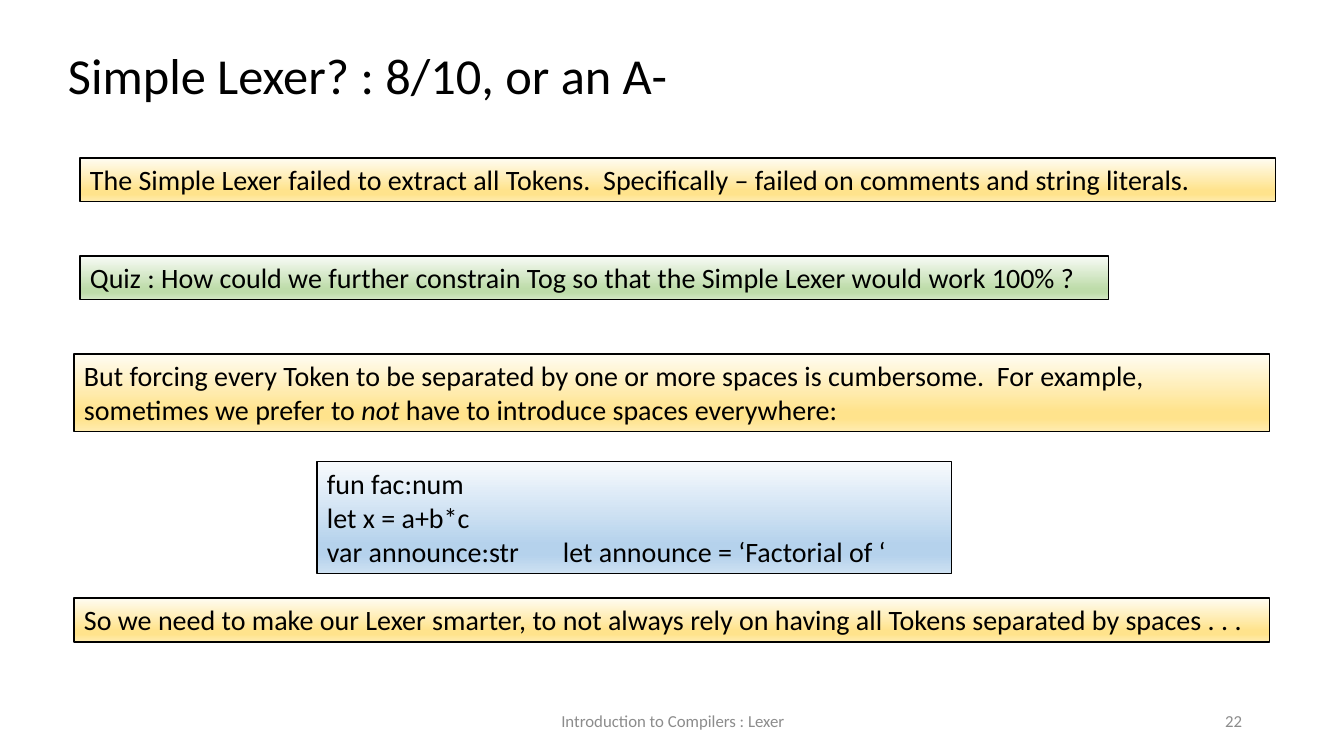
from dataclasses import dataclass

from lxml import etree
from pptx import Presentation
from pptx import util as u
from pptx.dml.color import RGBColor
from pptx.enum import shapes, text
from pptx.oxml.ns import qn


@dataclass(frozen=True)
class Theme:
    font: str = "Calibri"
    ink: str = "000000"
    muted: str = "8C8C8C"
    title_size: int = 36
    body_size: int = 20
    footer_size: int = 12
    line_width: float = 0.75
    stops: tuple = (0, 74, 83, 100)
    gold: tuple = ("FFFCF2", "FFE38C", "FFE38C", "FFECB2")
    green: tuple = ("F8FBF6", "BEDCAA", "BEDCAA", "D4E8C6")
    blue: tuple = ("F7FAFD", "B5D2EC", "B5D2EC", "CEE1F2")


THEME = Theme()
EMU_PER_PX = 914400 / 100.8


def px(value):
    """Turn pixels into EMU."""
    return u.Emu(round(value * EMU_PER_PX))


def add_span(para, words, size, color, italic=False):
    """Append one formatted run to a paragraph."""
    span = para.add_run()
    span.text = words
    span.font.name = THEME.font
    span.font.size = u.Pt(size)
    span.font.color.rgb = RGBColor.from_string(color)
    span.font.italic = italic


class SlideBuilder:
    """Draw themed elements on one slide."""

    def __init__(self, slide, theme):
        self.slide = slide
        self.theme = theme

    def set_lines(self, box, lines, size, color, align=text.PP_ALIGN.LEFT,
                  anchor=text.MSO_ANCHOR.TOP, grow=True, tab=None):
        """Fill a box with lines, each a list of (words, italic) spans."""
        frame = box.text_frame
        frame.word_wrap = True
        frame.vertical_anchor = anchor
        if grow:
            frame.auto_size = text.MSO_AUTO_SIZE.SHAPE_TO_FIT_TEXT
        for index, line in enumerate(lines):
            para = frame.add_paragraph() if index else frame.paragraphs[0]
            para.alignment = align
            if tab:
                tabs = etree.SubElement(para._p.get_or_add_pPr(), qn("a:tabLst"))
                etree.SubElement(tabs, qn("a:tab"), pos=str(px(tab)), algn="l")
            for words, italic in line:
                add_span(para, words, size, color, italic)

    def label(self, area, words, size, color, **layout):
        """Add a plain line of text."""
        box = self.slide.shapes.add_textbox(*map(px, area))
        self.set_lines(box, [[(words, False)]], size, color, **layout)

    def panel(self, area, colors, lines, tab=None):
        """Add an outlined gradient rectangle with text."""
        box = self.slide.shapes.add_shape(
            shapes.MSO_SHAPE.RECTANGLE, *map(px, area))
        box.shadow.inherit = False
        box.line.color.rgb = RGBColor.from_string(self.theme.ink)
        box.line.width = u.Pt(self.theme.line_width)
        self.shade(box, colors)
        self.set_lines(box, lines, self.theme.body_size, self.theme.ink, tab=tab)

    def shade(self, box, colors):
        """Give a box a top-to-bottom gradient."""
        box.fill.gradient()
        box.fill.gradient_angle = 270
        stop_list = box._element.spPr.find(qn("a:gradFill")).find(qn("a:gsLst"))
        for stop in list(stop_list):
            stop_list.remove(stop)
        for place, color in zip(self.theme.stops, colors):
            stop = etree.SubElement(stop_list, qn("a:gs"), pos=str(place * 1000))
            etree.SubElement(stop, qn("a:srgbClr"), val=color)


def main():
    """Build and save the slide."""
    deck = Presentation()
    deck.slide_width, deck.slide_height = px(1344), px(756)
    page = SlideBuilder(deck.slides.add_slide(deck.slide_layouts[6]), THEME)

    page.label((58, 39, 1153, 72), "Simple Lexer? : 8/10, or an A-",
               THEME.title_size, THEME.ink)
    page.panel((80, 158, 1196, 44), THEME.gold, [[
        ("The Simple Lexer failed to extract all Tokens.  Specifically – "
         "failed on comments and string literals.", False)]])
    page.panel((80, 256, 1029, 44), THEME.green, [[
        ("Quiz : How could we further constrain Tog so that the Simple Lexer "
         "would work 100% ?", False)]])
    page.panel((74, 354, 1196, 78), THEME.gold, [[
        ("But forcing every Token to be separated by one or more spaces is "
         "cumbersome.  For example, sometimes we prefer to ", False),
        ("not ", True),
        ("have to introduce spaces everywhere:", False)]])
    page.panel((317, 462, 635, 112), THEME.blue, [
        [("fun fac:num", False)],
        [("let x = a+b*c", False)],
        [("var announce:str\tlet announce = ‘Factorial of ‘", False)]], tab=236)
    page.panel((74, 598, 1196, 44), THEME.gold, [[
        ("So we need to make our Lexer smarter, to not always rely on having "
         "all Tokens separated by spaces . . .", False)]])

    footers = (
        ((446, 701, 454, 40), "Introduction to Compilers : Lexer", text.PP_ALIGN.CENTER),
        ((950, 701, 302, 40), "22", text.PP_ALIGN.RIGHT),
    )
    for area, words, align in footers:
        page.label(area, words, THEME.footer_size, THEME.muted, align=align,
                   anchor=text.MSO_ANCHOR.MIDDLE, grow=False)
    deck.save("out.pptx")


if __name__ == "__main__":
    main()
